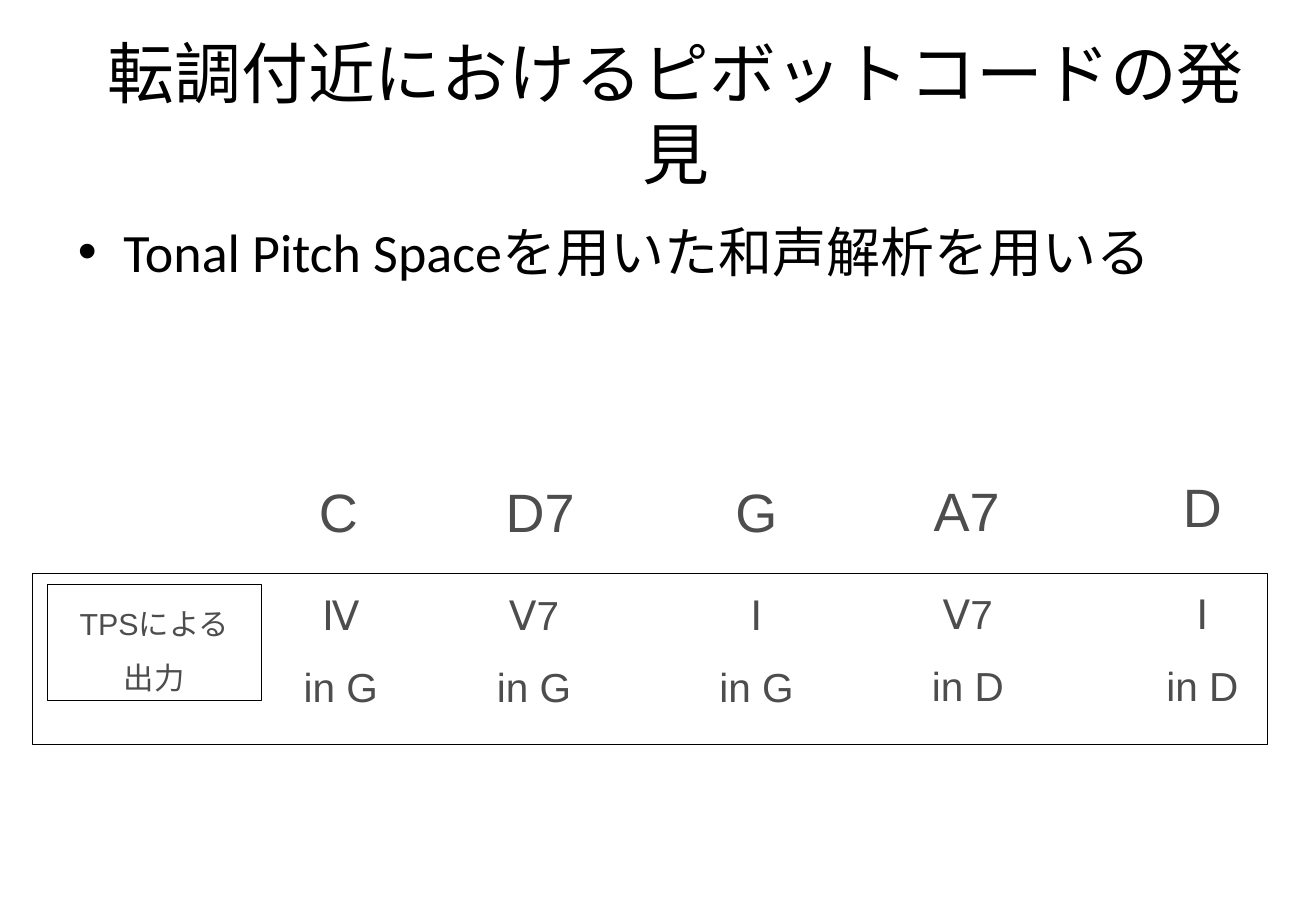
from dataclasses import dataclass

from pptx import Presentation
from pptx.dml.color import RGBColor
from pptx.enum.shapes import MSO_SHAPE
from pptx.enum.text import MSO_ANCHOR, MSO_AUTO_SIZE, PP_ALIGN
from pptx.shapes.autoshape import Shape
from pptx.slide import Slide
from pptx.text.text import TextFrame
from pptx.util import Emu, Pt

EMU_PER_PX = 9144


@dataclass(frozen=True)
class Theme:
    heading_font: str = "Calibri"
    label_font: str = "Arial"
    ink: RGBColor = RGBColor(0x00, 0x00, 0x00)
    label_ink: RGBColor = RGBColor(0x4D, 0x4D, 0x4D)
    title_size: float = 39.6
    body_size: float = 32
    chord_size: float = 32
    degree_size: float = 24
    source_size: float = 18
    outline: float = 0.75
    label_leading: float = 1.4
    label_gap: float = 0.1


@dataclass(frozen=True)
class Box:
    left: int
    top: int
    width: int
    height: int

    def emu(self) -> tuple[Emu, Emu, Emu, Emu]:
        return (
            Emu(self.left * EMU_PER_PX),
            Emu(self.top * EMU_PER_PX),
            Emu(self.width * EMU_PER_PX),
            Emu(self.height * EMU_PER_PX),
        )


@dataclass(frozen=True)
class Harmony:
    chord: str
    degree: str
    key: str
    chord_left: int
    chord_top: int
    degree_left: int
    degree_top: int


THEME = Theme()
SLIDE_SIZE = Box(0, 0, 1083, 750)
TITLE_BOX = Box(54, 30, 1004, 125)
BODY_BOX = Box(54, 175, 975, 495)
OUTPUT_FRAME = Box(27, 472, 1016, 141)
SOURCE_BOX = Box(39, 481, 176, 96)

HARMONIES = [
    Harmony("C", "Ⅳ", "in G", 230, 368, 186, 465),
    Harmony("D7", "Ⅴ7", "in G", 396, 368, 345, 465),
    Harmony("G", "Ⅰ", "in G", 574, 368, 528, 465),
    Harmony("A7", "Ⅴ7", "in D", 747, 367, 702, 464),
    Harmony("D", "Ⅰ", "in D", 941, 364, 895, 464),
]


def fill_placeholder(holder: Shape, box: Box, text: str, size: float) -> None:
    holder.left, holder.top, holder.width, holder.height = box.emu()
    frame = holder.text_frame
    frame.auto_size = MSO_AUTO_SIZE.NONE
    paragraph = frame.paragraphs[0]
    paragraph.space_before = Pt(0)
    run = paragraph.add_run()
    run.text = text
    run.font.name = THEME.heading_font
    run.font.size = Pt(size)
    run.font.color.rgb = THEME.ink


def write_label(frame: TextFrame, lines: list[str], size: float) -> None:
    frame.word_wrap = True
    frame.auto_size = MSO_AUTO_SIZE.SHAPE_TO_FIT_TEXT
    frame.vertical_anchor = MSO_ANCHOR.TOP
    for index, line in enumerate(lines):
        paragraph = frame.add_paragraph() if index else frame.paragraphs[0]
        paragraph.alignment = PP_ALIGN.CENTER
        paragraph.line_spacing = THEME.label_leading
        paragraph.space_before = Pt(size * THEME.label_gap if index else 0)
        run = paragraph.add_run()
        run.text = line
        run.font.name = THEME.label_font
        run.font.size = Pt(size)
        run.font.color.rgb = THEME.label_ink


def add_outline(slide: Slide, box: Box) -> Shape:
    outline = slide.shapes.add_shape(MSO_SHAPE.RECTANGLE, *box.emu())
    outline.shadow.inherit = False
    outline.fill.background()
    outline.line.color.rgb = THEME.ink
    outline.line.width = Pt(THEME.outline)
    return outline


def add_label(slide: Slide, box: Box, lines: list[str], size: float) -> None:
    label = slide.shapes.add_textbox(*box.emu())
    write_label(label.text_frame, lines, size)


def add_harmony(slide: Slide, harmony: Harmony) -> None:
    chord_box = Box(harmony.chord_left, harmony.chord_top, 97, 82)
    degree_box = Box(harmony.degree_left, harmony.degree_top, 189, 125)
    add_label(slide, chord_box, [harmony.chord], THEME.chord_size)
    add_label(slide, degree_box, [harmony.degree, harmony.key], THEME.degree_size)


def main() -> None:
    deck = Presentation()
    _, _, deck.slide_width, deck.slide_height = SLIDE_SIZE.emu()
    slide = deck.slides.add_slide(deck.slide_layouts[1])
    title, body = slide.placeholders
    fill_placeholder(title, TITLE_BOX, "転調付近におけるピボットコードの発見", THEME.title_size)
    fill_placeholder(body, BODY_BOX, "Tonal Pitch Spaceを用いた和声解析を用いる", THEME.body_size)
    add_outline(slide, OUTPUT_FRAME)
    source = add_outline(slide, SOURCE_BOX)
    write_label(source.text_frame, ["TPSによる", "出力"], THEME.source_size)
    for harmony in HARMONIES:
        add_harmony(slide, harmony)
    deck.save("out.pptx")


if __name__ == "__main__":
    main()
